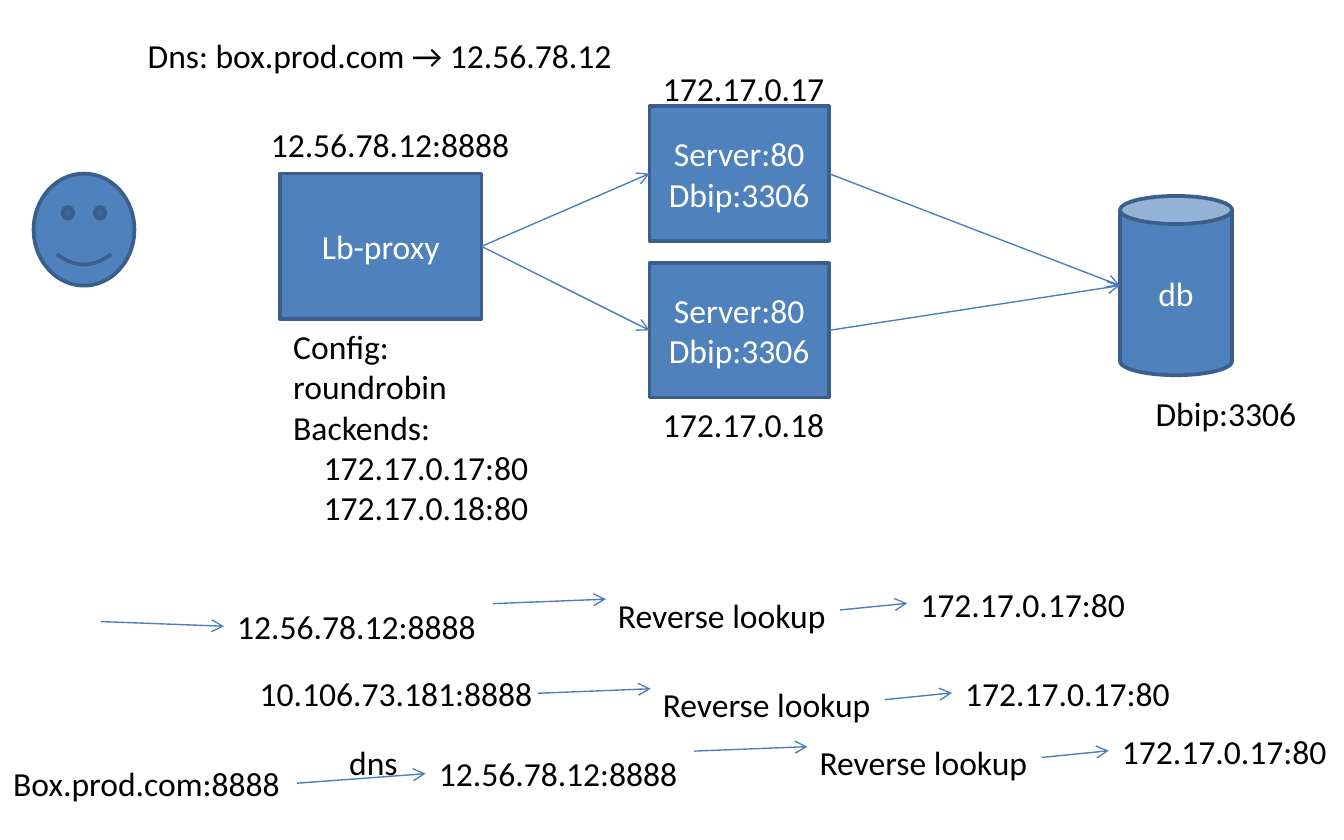
from pptx import Presentation
from pptx.dml.color import RGBColor
from pptx.enum.shapes import MSO_CONNECTOR, MSO_SHAPE
from pptx.enum.text import MSO_ANCHOR, PP_ALIGN
from pptx.oxml.ns import qn
from pptx.util import Pt
from lxml import etree

prs = Presentation()
prs.slide_width, prs.slide_height = Pt(720), Pt(450)
slide = prs.slides.add_slide(prs.slide_layouts[6])
shapes = slide.shapes
color = RGBColor.from_string


def write(frame, text, ink="000000", align=PP_ALIGN.LEFT, anchor=MSO_ANCHOR.TOP,
          wrap=False, indented=()):
    frame.word_wrap = wrap
    frame.vertical_anchor = anchor
    frame.text = text
    for number, paragraph in enumerate(frame.paragraphs):
        paragraph.alignment = align
        paragraph.font.size = Pt(18)
        paragraph.font.name = "Calibri"
        paragraph.font.color.rgb = color(ink)
        if number in indented:
            paragraph._p.get_or_add_pPr().set("marL", str(Pt(16.3)))


def arrow(x1, y1, x2, y2):
    line = shapes.add_connector(MSO_CONNECTOR.STRAIGHT, Pt(x1), Pt(y1), Pt(x2), Pt(y2))
    line.line.color.rgb = color("4B7EBC")
    line.line.width = Pt(0.75)
    etree.SubElement(line.line._get_or_add_ln(), qn("a:tailEnd"), type="arrow")
    etree.SubElement(line._element.spPr, qn("a:effectLst"))
    return line


nodes = []
for kind, x, y, width, height, text in [
    (MSO_SHAPE.SMILEY_FACE, 18, 93, 54, 60, ""),
    (MSO_SHAPE.RECTANGLE, 150, 93, 108, 78, "Lb-proxy"),
    (MSO_SHAPE.RECTANGLE, 348, 57, 96, 72, "Server:80\nDbip:3306"),
    (MSO_SHAPE.RECTANGLE, 348, 141, 96, 72, "Server:80\nDbip:3306"),
    (MSO_SHAPE.CAN, 600, 105, 60, 96, "db"),
]:
    node = shapes.add_shape(kind, Pt(x), Pt(y), Pt(width), Pt(height))
    node.shadow.inherit = False
    node.fill.solid()
    node.fill.fore_color.rgb = color("4F81BD")
    node.line.color.rgb = color("3A5F8C")
    node.line.width = Pt(2)
    write(node.text_frame, text, ink="FFFFFF", align=PP_ALIGN.CENTER,
          anchor=MSO_ANCHOR.MIDDLE, wrap=True)
    nodes.append(node)

proxy, first_backend, second_backend = nodes[1:4]
for backend, middle in [(first_backend, 93), (second_backend, 177)]:
    request = arrow(258, 132, 348, middle)
    request.begin_connect(proxy, 3)
    request.end_connect(backend, 1)
    query = arrow(444, middle, 600, 153)
    query.begin_connect(backend, 3)

labels = [
    ("Dns: box.prod.com → 12.56.78.12", 72, 15, 267),
    ("12.56.78.12:8888", 138, 63, 144),
    ("172.17.0.17", 348, 33, 102),
    ("172.17.0.18", 348, 213, 102),
    ("Dbip:3306", 612, 207, 91),
    ("Box.prod.com:8888", 0, 405, 159),
    ("dns", 180, 394, 41),
]
for host, host_x, host_y, host_width, lookup_x, lookup_y in [
    ("12.56.78.12:8888", 120, 321, 143, 324, 315),
    ("10.106.73.181:8888", 132, 357, 162, 348, 363),
    ("12.56.78.12:8888", 228, 399.6, 143, 432, 394),
]:
    labels += [
        (host, host_x, host_y, host_width),
        ("Reverse lookup", lookup_x, lookup_y, 144),
        ("172.17.0.17:80", lookup_x + 162, lookup_y - 6, 125),
    ]
    arrow(lookup_x - 60, lookup_y + 8.4, lookup_x + 0.6, lookup_y + 6)
    arrow(lookup_x + 126, lookup_y + 11.8, lookup_x + 162, lookup_y + 8.2)

arrow(54, 333, 120, 335.5)
arrow(159, 419.6, 228, 414.5)

for text, x, y, width in labels:
    label = shapes.add_textbox(Pt(x), Pt(y), Pt(width), Pt(29))
    write(label.text_frame, text)

config = shapes.add_textbox(Pt(150), Pt(171), Pt(142), Pt(117))
write(config.text_frame,
      "Config:\nroundrobin\nBackends:\n172.17.0.17:80\n172.17.0.18:80",
      indented=(3, 4))

prs.save("out.pptx")
